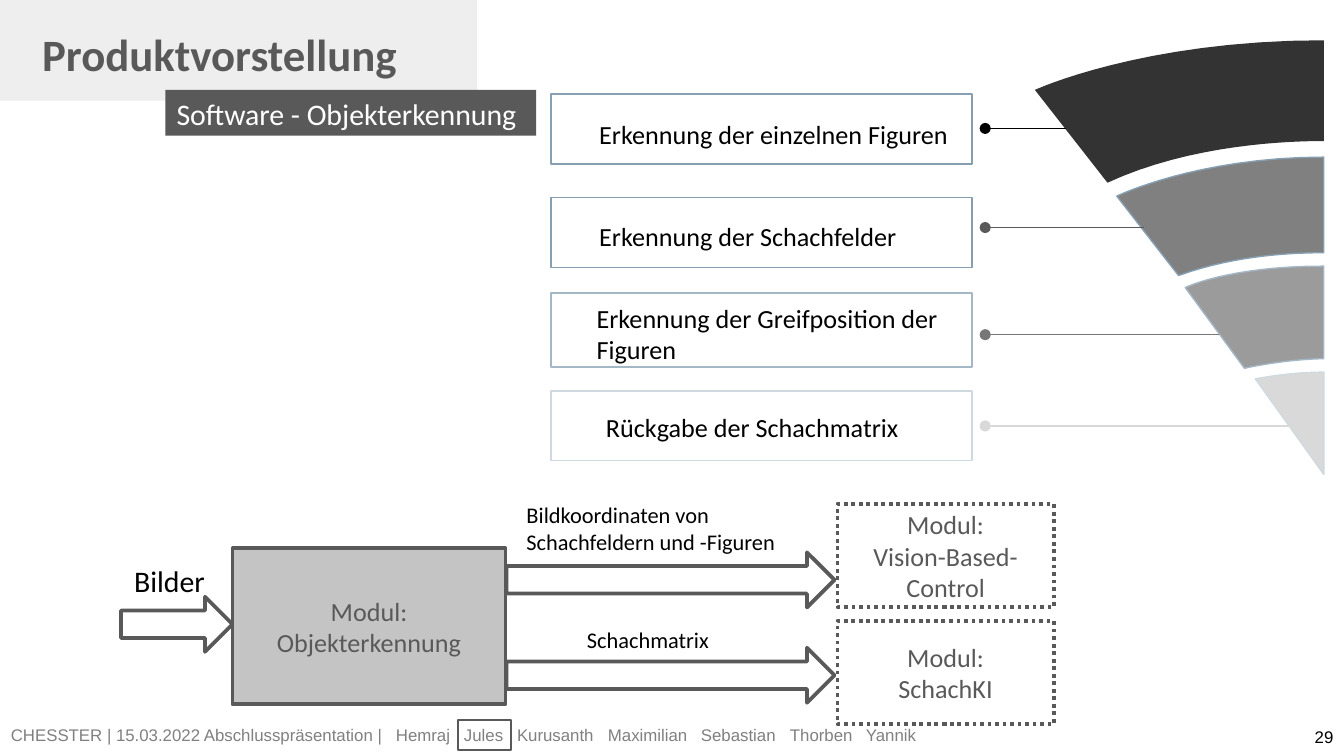
from lxml import etree
from pptx import Presentation
from pptx import util as u
from pptx.dml import color
from pptx.enum import dml, shapes, text
from pptx.oxml import ns

COLORS = {
    "black": "000000", "white": "FFFFFF", "dark": "595959", "footer": "808080",
    "module": "C4C4C4", "banner": "EEEEEE", "ring1": "333333", "ring2": "808080",
    "ring3": "9B9B9B", "ring4": "D9D9D9", "edge1": "869FB1", "edge2": "869FB2",
    "edge3": "A5B7C6", "edge4": "CFD9E0", "line3": "777777",
}
RIGHT = 709.2


def rgb(name):
    return color.RGBColor.from_string(COLORS[name])


def add_run(p, content, size=14, fill="black", font="Calibri", bold=False):
    r = p.add_run()
    r.text = content
    r.font.size = u.Pt(size)
    r.font.name = font
    r.font.bold = bold
    r.font.color.rgb = rgb(fill)


def add_tabs(p, stops):
    tab_list = etree.SubElement(p._p.get_or_add_pPr(), ns.qn("a:tabLst"))
    for stop in stops:
        etree.SubElement(tab_list, ns.qn("a:tab"), pos=str(u.Pt(stop)), algn="l")


def curve(a, b, c, d, steps=16):
    points = []
    for i in range(steps + 1):
        t = i / steps
        weights = ((1 - t) ** 3, 3 * t * (1 - t) ** 2, 3 * t * t * (1 - t), t ** 3)
        points.append(tuple(sum(w * q[k] for w, q in zip(weights, (a, b, c, d)))
                            for k in (0, 1)))
    return points


class Deck:
    font = "Calibri"
    accent = "dark"

    def __init__(self):
        self.prs = Presentation()
        self.prs.slide_width, self.prs.slide_height = u.Pt(720), u.Pt(405)
        self.s = self.prs.slides.add_slide(self.prs.slide_layouts[5])

    def style(self, sp, fill=None, line=None, width=0.75, dash=None):
        sp.shadow.inherit = False
        if fill:
            sp.fill.solid()
            sp.fill.fore_color.rgb = rgb(fill)
        else:
            sp.fill.background()
        if line:
            sp.line.color.rgb = rgb(line)
            sp.line.width = u.Pt(width)
            sp.line.dash_style = dash
        else:
            sp.line.fill.background()

    def shape(self, kind, x, y, w, h, lines=(), **look):
        sp = self.s.shapes.add_shape(kind, *map(u.Pt, (x, y, w, h)))
        self.style(sp, **look)
        tf = sp.text_frame
        tf.word_wrap = True
        tf.vertical_anchor = text.MSO_ANCHOR.MIDDLE
        for i, line in enumerate(lines):
            p = tf.add_paragraph() if i else tf.paragraphs[0]
            p.alignment = text.PP_ALIGN.CENTER
            add_run(p, line, fill=self.accent, font=self.font)

    def rect(self, *box, **look):
        self.shape(shapes.MSO_SHAPE.RECTANGLE, *box, **look)

    def arrow(self, *box):
        self.shape(shapes.MSO_SHAPE.RIGHT_ARROW, *box, line=self.accent, width=2)

    def label(self, x, y, w, h, content, inset=True, align=None, tabs=(), **fmt):
        tf = self.s.shapes.add_textbox(*map(u.Pt, (x, y, w, h))).text_frame
        tf.word_wrap = True
        if not inset:
            tf.margin_left = tf.margin_right = tf.margin_top = tf.margin_bottom = 0
        p = tf.paragraphs[0]
        p.alignment = align
        if tabs:
            add_tabs(p, tabs)
        add_run(p, content, **fmt)

    def ring(self, top, outer, inner, **look):
        points = [(u.Pt(x), u.Pt(y)) for x, y in curve(*outer, (RIGHT, top)) + inner]
        fb = self.s.shapes.build_freeform(*points[0])
        fb.add_line_segments(points[1:], close=True)
        self.style(fb.convert_to_shape(), **look)

    def pointer(self, x1, x2, y, line):
        c = self.s.shapes.add_connector(shapes.MSO_CONNECTOR.STRAIGHT,
                                        *map(u.Pt, (x1, y, x2, y)))
        c.line.color.rgb = rgb(line)
        c.line.width = u.Pt(0.75)
        etree.SubElement(c.line._get_or_add_ln(), ns.qn("a:tailEnd"), type="oval")
        etree.SubElement(c._element.spPr, ns.qn("a:effectLst"))

    def title(self, heading, subtitle):
        sp = self.s.shapes.title
        sp.left, sp.top, sp.width, sp.height = map(u.Pt, (22.6, 14.4, 269.3, 58.3))
        tf = sp.text_frame
        tf.word_wrap = True
        tf.auto_size = text.MSO_AUTO_SIZE.NONE
        tf.vertical_anchor = text.MSO_ANCHOR.TOP
        tf.margin_left = tf.margin_top = tf.margin_bottom = 0
        p = tf.paragraphs[0]
        p.alignment = text.PP_ALIGN.LEFT
        add_tabs(p, [72])
        add_run(p, heading, size=24, fill=self.accent, bold=True)
        p.add_line_break()
        add_run(p, "\t", size=24, fill=self.accent, bold=True)
        add_run(p, subtitle, size=16, fill="white")
        sp.element.getparent().append(sp.element)


def main():
    d = Deck()
    names = ["Hemraj", "Jules", "Kurusanth", "Maximilian", "Sebastian", "Thorben", "Yannik"]
    d.label(5.8, 388.1, 571, 10.8,
            "\t".join(["CHESSTER | 15.03.2022 Abschlusspräsentation |"] + names),
            inset=False, tabs=(206.3, 242.8, 271.2, 319.9, 369.7, 417.4, 458.1),
            size=9, fill="footer", font="Arial")

    rings = [
        (21.6, [(554.4, 48.2), (554.4, 48.2), (612, 21.6)],
         curve((RIGHT, 75.6), (691.2, 75.6), (638.6, 77), (593.3, 97.9)), "ring1", None),
        (84.2, [(598.3, 105.1), (598.3, 105.1), (641.5, 84.2)],
         curve((RIGHT, 135.4), (695.5, 135.4), (663.1, 136.1), (631.4, 147.6)),
         "ring2", "edge2"),
        (142.6, [(635, 154.1), (635, 154.1), (658.1, 142.6)],
         curve((RIGHT, 192.2), (703.4, 192.2), (686.9, 193), (666.7, 197.3)),
         "ring3", "edge3"),
        (199.4, [(672.5, 203), (684, 200.9), (696.2, 199.4)],
         [(RIGHT, 254.2)], "ring4", "edge4"),
    ]
    for top, outer, inner, fill, line in rings:
        d.ring(top, outer, inner, fill=fill, line=line)

    steps = [
        ("Erkennung der einzelnen Figuren", 50.4, 37.4, "edge1", 571, 68.8, "black", 313.9, 59.8),
        ("Erkennung der Schachfelder", 105.8, 37.4, "edge2", 612.7, 121.9, "dark", 313.9, 114.5),
        ("Erkennung der Greifposition der Figuren", 157, 39.6, "edge3", 653, 179.3, "line3",
         312.5, 158.4),
        ("Rückgabe der Schachmatrix", 209.5, 37.4, "edge4", 691.2, 228.2, "ring4", 317.5, 216.7),
    ]
    for content, y, h, edge, x1, line_y, line, text_x, text_y in steps:
        d.rect(295.2, y, 225.6, h, line=edge)
        d.pointer(x1, 527.8, line_y, line)
        d.label(text_x, text_y, 212.4, 24.5, content)

    d.rect(124.6, 293.8, 146.2, 83.5, lines=("Modul:", "Objekterkennung"),
           fill="module", line="dark", width=2)
    d.arrow(64.8, 319.7, 59.8, 29.5)
    d.label(64.8, 298.1, 57.6, 26.6, "Bilder", size=16)
    outputs = [
        ("Vision-Based-Control", 270, 295.9,
         "Bildkoordinaten von Schachfeldern und -Figuren", 275, 265, 153.4),
        ("SchachKI", 332.6, 347, "Schachmatrix", 307.4, 331.9, 144),
    ]
    for module, y, arrow_y, content, x, text_y, w in outputs:
        d.rect(448.6, y, 115.9, 55.4, lines=("Modul:", module), line="dark", width=2,
               dash=dml.MSO_LINE.ROUND_DOT)
        d.label(x, text_y, w, 21.6, content, size=12)
        d.arrow(271.4, arrow_y, 175.7, 29.5)

    d.rect(0, 0, 255.6, 54, fill="banner")
    d.rect(88.6, 48.2, 198.7, 24.5, fill="dark")
    d.title("Produktvorstellung", "Software - Objekterkennung")
    d.rect(245.5, 385.9, 28.1, 15.8, line="dark", width=1)
    d.label(546.5, 389.5, 167.8, 9.4, "29", inset=False,
            align=text.PP_ALIGN.RIGHT, size=9, font="Arial")
    d.prs.save("out.pptx")


if __name__ == "__main__":
    main()
